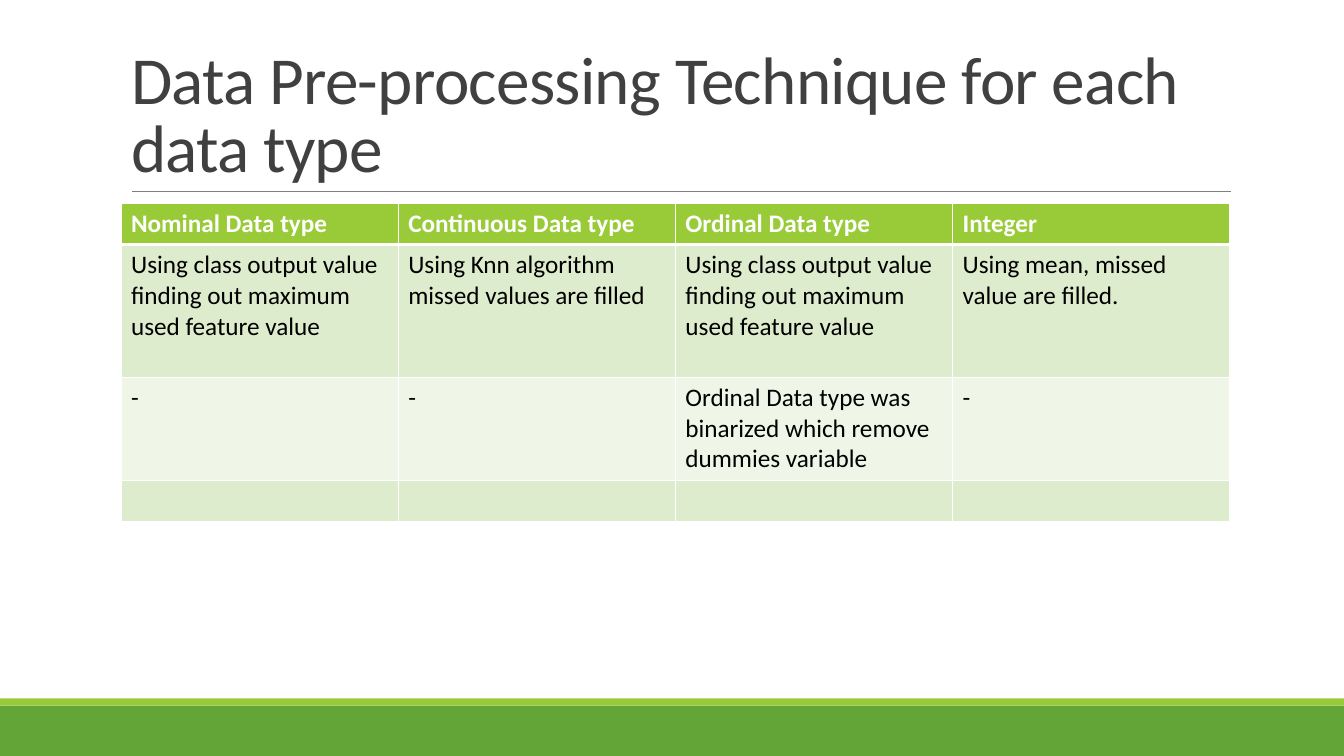
import pptx
import pptx.dml.color
import pptx.enum.shapes
import pptx.enum.text
import pptx.oxml
import pptx.oxml.ns
import pptx.util
from pptx.dml.color import RGBColor
from pptx.util import Cm

WHITE = RGBColor(0xFF, 0xFF, 0xFF)
BLACK = RGBColor(0x00, 0x00, 0x00)
TITLE_GRAY = RGBColor(0x40, 0x40, 0x40)
RULE_GRAY = RGBColor(0x80, 0x80, 0x80)
GREEN = RGBColor(0x63, 0xA5, 0x37)
LIME = RGBColor(0x99, 0xCB, 0x38)
BAND_DARK = RGBColor(0xDE, 0xEC, 0xCE)
BAND_LIGHT = RGBColor(0xEF, 0xF6, 0xE8)

SLIDE_WIDTH, SLIDE_HEIGHT = Cm(33.87), Cm(19.05)
CONTENT_LEFT, CONTENT_WIDTH = Cm(3.05), Cm(27.94)

IMPUTE_BY_CLASS = "Using class output value finding out maximum used feature value"
TECHNIQUES = [
    ["Nominal Data type", "Continuous Data type", "Ordinal Data type", "Integer"],
    [IMPUTE_BY_CLASS, "Using Knn algorithm missed values are filled",
     IMPUTE_BY_CLASS, "Using mean, missed value are filled."],
    ["-", "-", "Ordinal Data type was binarized which remove dummies variable", "-"],
    ["", "", "", ""],
]
ROW_HEIGHTS = [Cm(1.03), Cm(3.35), Cm(2.6), Cm(1.03)]


def set_all(target, values):
    for name, value in values.items():
        setattr(target, name, value)


class SlideBuilder:
    font_name = "Calibri"
    title_size = pptx.util.Pt(48)
    table_size = pptx.util.Pt(18)

    def __init__(self, presentation):
        self.slide = presentation.slides.add_slide(presentation.slide_layouts[5])

    def style_run(self, run, size, color, bold=False):
        set_all(run.font, {"name": self.font_name, "size": size, "bold": bold})
        run.font.color.rgb = color

    def title(self, text, top, height):
        shape = self.slide.shapes.title
        set_all(shape, {"left": CONTENT_LEFT, "top": top,
                        "width": CONTENT_WIDTH, "height": height})
        set_all(shape.text_frame, {
            "text": text,
            "word_wrap": True,
            "auto_size": pptx.enum.text.MSO_AUTO_SIZE.NONE,
            "vertical_anchor": pptx.enum.text.MSO_ANCHOR.BOTTOM,
        })
        paragraph = shape.text_frame.paragraphs[0]
        set_all(paragraph, {"alignment": pptx.enum.text.PP_ALIGN.LEFT,
                            "line_spacing": 0.85})
        run = paragraph.runs[0]
        self.style_run(run, self.title_size, TITLE_GRAY)
        run.font._element.set("spc", "-50")

    def band(self, top, height, color):
        shape = self.slide.shapes.add_shape(
            pptx.enum.shapes.MSO_SHAPE.RECTANGLE, 0, top, SLIDE_WIDTH, height)
        shape.shadow.inherit = False
        shape.fill.solid()
        shape.fill.fore_color.rgb = color
        shape.line.fill.background()

    def rule(self, left, right, y):
        connector = self.slide.shapes.add_connector(
            pptx.enum.shapes.MSO_CONNECTOR.STRAIGHT, left, y, right, y)
        connector.line.color.rgb = RULE_GRAY
        connector.line.width = pptx.util.Pt(0.5)
        pptx.oxml.ns.qn("a:effectLst")
        connector._element.spPr.append(
            pptx.oxml.parse_xml(f"<a:effectLst {pptx.oxml.ns.nsdecls('a')}/>"))

    def cell_borders(self, cell, widths):
        """Draw white borders; widths maps each side (L, R, T, B) to points."""
        properties = cell._tc.get_or_add_tcPr()
        for index, (side, points) in enumerate(widths.items()):
            properties.insert(index, pptx.oxml.parse_xml(
                f"<a:ln{side} {pptx.oxml.ns.nsdecls('a')} w='{pptx.util.Pt(points)}'>"
                f"<a:solidFill><a:srgbClr val='{WHITE}'/></a:solidFill></a:ln{side}>"))

    def table(self, rows, top, heights):
        column_count = len(rows[0])
        table = self.slide.shapes.add_table(
            len(rows), column_count, CONTENT_LEFT, top,
            CONTENT_WIDTH, sum(heights)).table
        for column in table.columns:
            column.width = CONTENT_WIDTH // column_count
        for row_index, (texts, height) in enumerate(zip(rows, heights)):
            table.rows[row_index].height = height
            is_header = row_index == 0
            band_color = BAND_DARK if row_index % 2 else BAND_LIGHT
            borders = {"L": 1, "R": 1, "T": 3 if row_index == 1 else 1,
                       "B": 3 if is_header else 1}
            for column_index, text in enumerate(texts):
                cell = table.cell(row_index, column_index)
                cell.fill.solid()
                cell.fill.fore_color.rgb = LIME if is_header else band_color
                self.cell_borders(cell, borders)
                if text:
                    run = cell.text_frame.paragraphs[0].add_run()
                    run.text = text
                    self.style_run(run, self.table_size,
                                   WHITE if is_header else BLACK, is_header)


def main():
    presentation = pptx.Presentation()
    set_all(presentation, {"slide_width": SLIDE_WIDTH, "slide_height": SLIDE_HEIGHT})
    builder = SlideBuilder(presentation)
    builder.band(Cm(17.78), Cm(1.27), GREEN)
    builder.band(Cm(17.6), Cm(0.18), LIME)
    builder.rule(Cm(3.33), Cm(31.01), Cm(4.83))
    builder.title("Data Pre-processing Technique for each data type", Cm(0.79), Cm(4.04))
    builder.table(TECHNIQUES, Cm(5.13), ROW_HEIGHTS)
    presentation.save("out.pptx")


if __name__ == "__main__":
    main()
